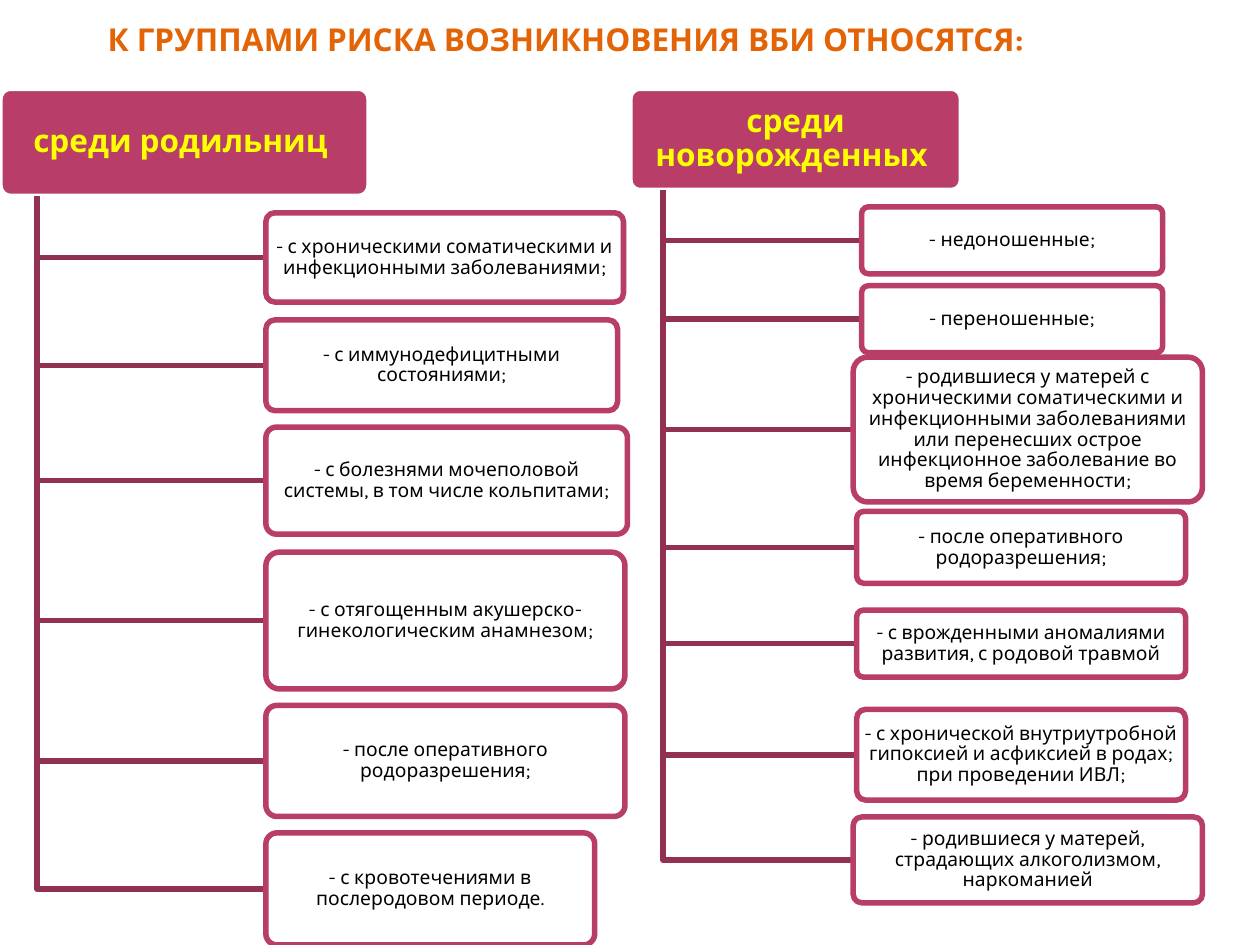
from dataclasses import dataclass

from lxml.etree import SubElement
from pptx import Presentation
from pptx.dml.color import RGBColor
from pptx.enum.shapes import MSO_SHAPE as Preset
from pptx.enum.text import MSO_ANCHOR as Anchor, PP_ALIGN as Align
from pptx.oxml.ns import qn
from pptx.util import Cm, Pt


@dataclass(frozen=True)
class Theme:
    font: str = "Karla"
    title: RGBColor = RGBColor.from_string("E36406")
    heading: RGBColor = RGBColor.from_string("FFFF00")
    body: RGBColor = RGBColor.from_string("000000")
    accent: RGBColor = RGBColor.from_string("B83D68")
    branch: RGBColor = RGBColor.from_string("933153")
    paper: RGBColor = RGBColor.from_string("FFFFFF")
    large: Pt = Pt(18)
    small: Pt = Pt(11)
    stroke: Pt = Pt(3.15)


theme = Theme()


def write(shape, text, color, size, bold, inset_x, inset_y, spacing=0.9):
    """Put one centred paragraph into the shape."""
    frame = shape.text_frame
    paragraph = frame.paragraphs[0]
    run = paragraph.add_run()
    run.text = text
    run.font.color.rgb = color
    formats = {
        frame: dict(word_wrap=True, vertical_anchor=Anchor.MIDDLE,
                    margin_left=Cm(inset_x), margin_right=Cm(inset_x),
                    margin_top=Cm(inset_y), margin_bottom=Cm(inset_y)),
        paragraph: dict(alignment=Align.CENTER, line_spacing=spacing),
        run.font: dict(name=theme.font, size=size, bold=bold),
    }
    for target, values in formats.items():
        for name, value in values.items():
            setattr(target, name, value)


def add_card(left, top, width, height, fill, line):
    card = slide.shapes.add_shape(
        Preset.ROUNDED_RECTANGLE, Cm(left), Cm(top), Cm(width), Cm(height))
    card.adjustments[0] = 0.1
    card.shadow.inherit = False
    card.fill.solid()
    card.fill.fore_color.rgb = fill
    card.line.color.rgb = line
    card.line.width = theme.stroke
    return card


# Each group: heading, its left, width and height, then its risk factors
# as (left, top, width, height, text), all in centimetres.
heading_top = 1.78
risk_groups = [
    ("среди родильниц ", 0, 7.44, 2.18, [
        (5.36, 4.29, 7.21, 1.8, "- с хроническими соматическими и инфекционными заболеваниями;"),
        (5.36, 6.45, 7.09, 1.83, "- с иммунодефицитными состояниями;"),
        (5.36, 8.61, 7.29, 2.16, "- с болезнями мочеполовой системы, в том числе кольпитами;"),
        (5.36, 11.13, 7.24, 2.76, "- с отягощенным акушерско-гинекологическим анамнезом;"),
        (5.36, 14.22, 7.24, 2.24, "- после оперативного родоразрешения;"),
        (5.36, 16.79, 6.63, 2.26, "- с кровотечениями в послеродовом периоде."),
    ]),
    ("среди новорожденных ", 12.7, 6.68, 2.06, [
        (17.37, 4.17, 6.07, 1.35, "- недоношенные;"),
        (17.37, 5.76, 6.07, 1.35, "- переношенные;"),
        (17.2, 7.2, 7.04, 2.92,
         "- родившиеся у матерей с хроническими соматическими и инфекционными заболеваниями "
         "или перенесших острое инфекционное заболевание во время беременности;"),
        (17.27, 10.31, 6.63, 1.45, "- после оперативного родоразрешения;"),
        (17.27, 12.3, 6.63, 1.35, "- с врожденными аномалиями развития, с родовой травмой"),
        (17.27, 14.3, 6.63, 1.83,
         "- с хронической внутриутробной гипоксией и асфиксией в родах; при проведении ИВЛ;"),
        (17.2, 16.47, 7.04, 1.73, "- родившиеся у матерей, страдающих алкоголизмом, наркоманией"),
    ]),
]

prs = Presentation()
prs.slide_width, prs.slide_height = Cm(25.4), Cm(19.05)
slide = prs.slides.add_slide(prs.slide_layouts[6])

title = slide.shapes.add_textbox(0, 0, Cm(22.81), Cm(1.57))
write(title, "К ГРУППАМИ РИСКА ВОЗНИКНОВЕНИЯ ВБИ ОТНОСЯТСЯ:",
      theme.title, theme.large, True, 0.13, 0, spacing=1.0)

for heading, group_left, group_width, heading_height, factors in risk_groups:
    heading_card = add_card(group_left, heading_top, group_width, heading_height,
                            theme.accent, theme.paper)
    write(heading_card, heading, theme.heading, theme.large, True, 0.1, 0.08)
    trunk_x = Cm(group_left + group_width / 10)
    trunk_top = Cm(heading_top + heading_height)

    for left, top, width, height, factor in factors:
        middle = Cm(top + height / 2)
        builder = slide.shapes.build_freeform(trunk_x, trunk_top)
        builder.add_line_segments([(trunk_x, middle), (Cm(left), middle)], close=False)
        branch = builder.convert_to_shape()
        branch.shadow.inherit = False
        branch.fill.background()
        branch.line.color.rgb = theme.branch
        branch.line.width = theme.stroke

        factor_card = add_card(left, top, width, height, theme.paper, theme.accent)
        paint = factor_card.fill._xPr.find(qn("a:solidFill"))[0]
        SubElement(paint, qn("a:alpha"), val="90000")
        write(factor_card, factor, theme.body, theme.small, False, 0.05, 0.05)

prs.save("out.pptx")
